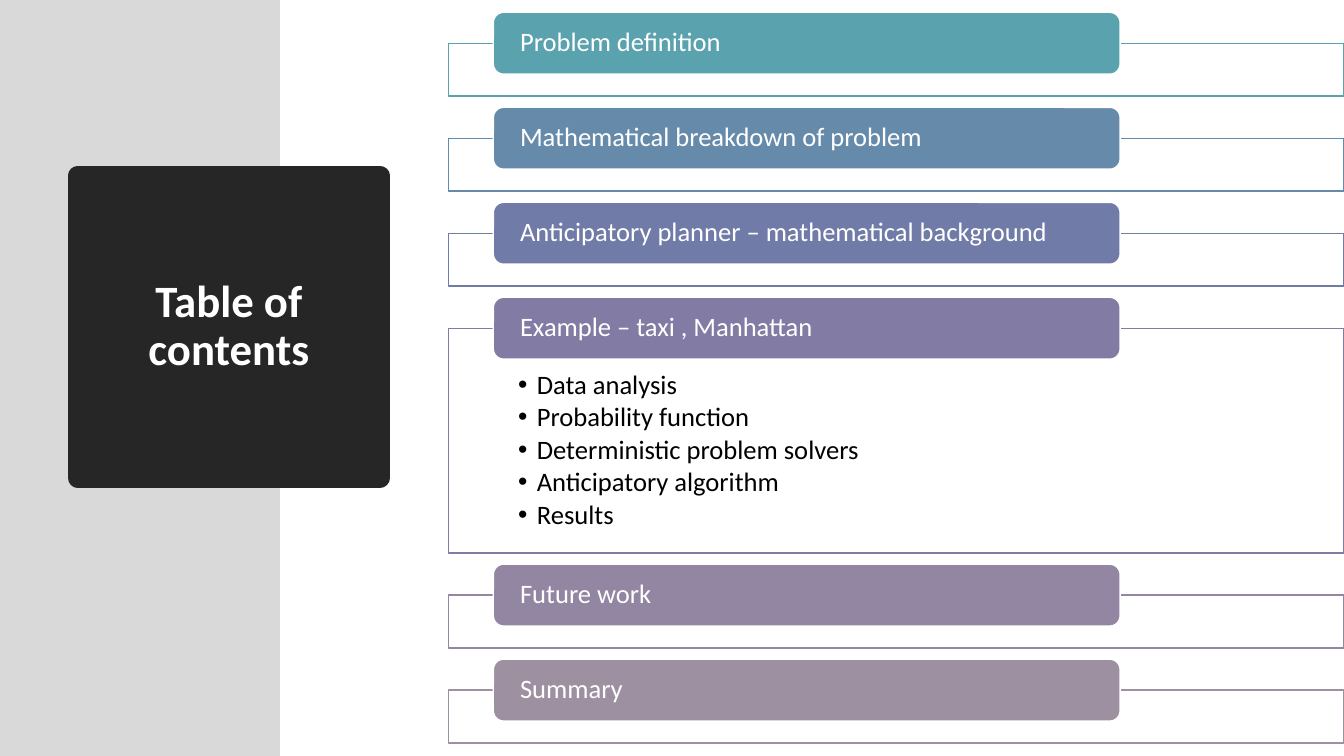
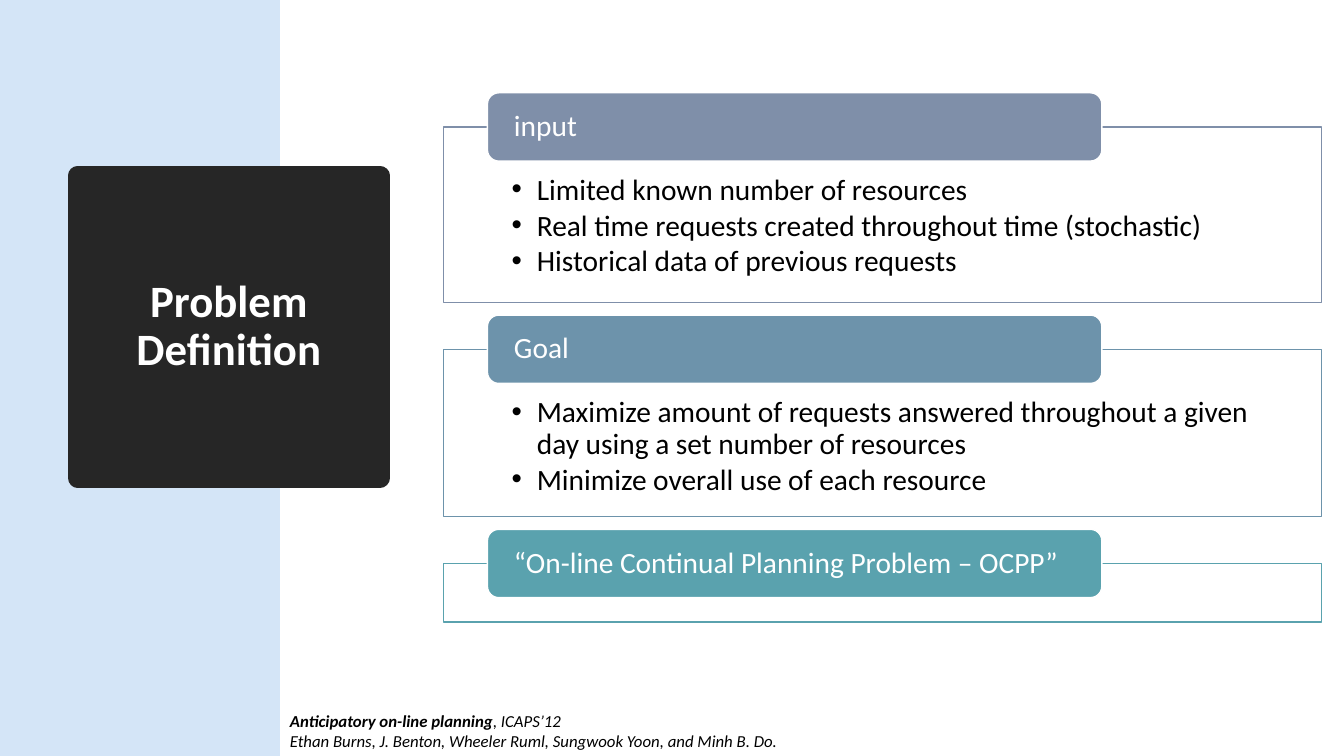
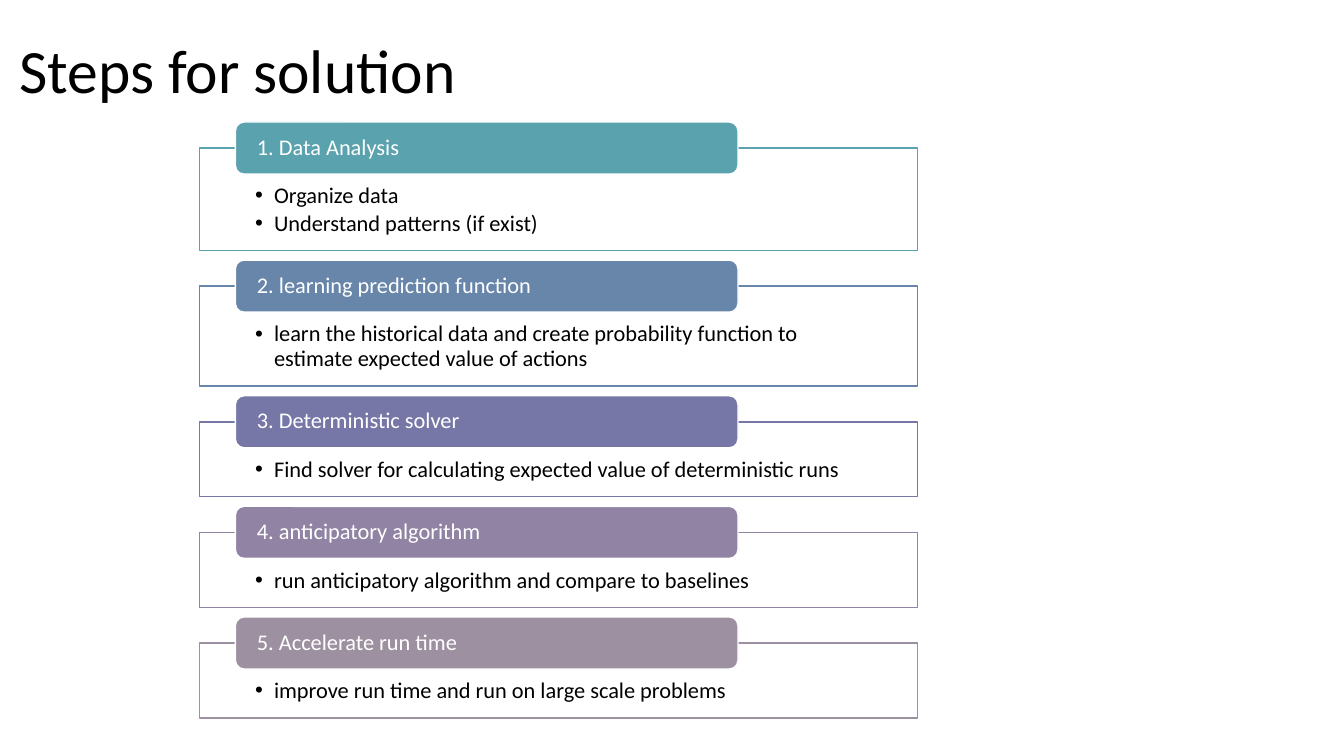
from lxml import etree
from pptx import Presentation
from pptx.dml.color import RGBColor
from pptx.enum.shapes import MSO_SHAPE
from pptx.enum.text import MSO_ANCHOR, MSO_AUTO_SIZE, PP_ALIGN
from pptx.oxml.ns import qn
from pptx.util import Pt

RECTANGLE = MSO_SHAPE.RECTANGLE
ROUNDED = MSO_SHAPE.ROUNDED_RECTANGLE
TOP, MIDDLE = MSO_ANCHOR.TOP, MSO_ANCHOR.MIDDLE
LEFT, CENTER = PP_ALIGN.LEFT, PP_ALIGN.CENTER
NO_AUTOFIT = MSO_AUTO_SIZE.NONE

SLIDE_WIDTH, SLIDE_HEIGHT = 960, 540
TITLE_ONLY = 5
FONT = "Calibri"
WHITE, BLACK, CHARCOAL = "FFFFFF", "000000", "262626"
GREY, PALE_BLUE, TEAL, MAUVE = "D9D9D9", "D4E5F7", "5AA2AE", "9D90A0"


def color(hex_code):
    return RGBColor.from_string(hex_code)


def paint(shape, fill, line=None, line_width=1):
    shape.fill.solid()
    shape.fill.fore_color.rgb = color(fill)
    if line:
        shape.line.color.rgb = color(line)
        shape.line.width = Pt(line_width)
    else:
        shape.line.fill.background()


def place(shape, left, top, width, height):
    shape.left, shape.top = Pt(left), Pt(top)
    shape.width, shape.height = Pt(width), Pt(height)


def add_box(slide, kind, box, fill, line=None):
    shape = slide.shapes.add_shape(kind, *(Pt(length) for length in box))
    shape.shadow.inherit = False
    paint(shape, fill, line)
    return shape


def format_paragraph(paragraph, size, hex_code, align=LEFT, spacing=0.9, bold=False):
    paragraph.alignment = align
    paragraph.line_spacing = spacing
    font = paragraph.font
    font.name, font.size, font.bold = FONT, Pt(size), bold
    font.color.rgb = color(hex_code)


def set_frame(shape, anchor, side=7.2, top=3.6):
    frame = shape.text_frame
    frame.word_wrap = True
    frame.auto_size = NO_AUTOFIT
    frame.vertical_anchor = anchor
    frame.margin_left = frame.margin_right = Pt(side)
    frame.margin_top, frame.margin_bottom = Pt(top), Pt(0)
    return frame


def add_bullet(paragraph, indent):
    properties = paragraph._p.get_or_add_pPr()
    properties.set("marL", str(Pt(indent)))
    properties.set("indent", str(-Pt(indent)))
    etree.SubElement(properties, qn("a:buFont"), typeface="Arial")
    etree.SubElement(properties, qn("a:buChar"), char="•")


# Outlined frame with a label straddling its top edge
def add_section(slide, box, section, label_height, size, indent):
    left, top, width, height = box
    label_text, accent, bullets = section

    outline = add_box(slide, RECTANGLE, box, WHITE, accent)
    if bullets:
        frame = set_frame(outline, TOP, 0.0776 * width, 0.7 * label_height)
        for index, text in enumerate(bullets):
            paragraph = frame.paragraphs[0] if index == 0 else frame.add_paragraph()
            paragraph.text = text
            paragraph.space_after = Pt(0.14 * size)
            add_bullet(paragraph, indent)
            format_paragraph(paragraph, size, BLACK)

    label_box = (left + 0.05 * width, top - label_height / 2, 0.7 * width, label_height)
    label = add_box(slide, ROUNDED, label_box, accent, WHITE)
    frame = set_frame(label, MIDDLE, 0.0265 * width, 0)
    frame.text = label_text
    format_paragraph(frame.paragraphs[0], size, WHITE)


# Column of sections: each is (label, accent, frame height, bullets)
def add_stack(slide, left, top, width, gap, sections, label_height, size, indent=13.5):
    for label, accent, height, bullets in sections:
        add_section(slide, (left, top, width, height), (label, accent, bullets),
                    label_height, size, indent)
        top += height + gap


# Side band with the title in a dark disc
def add_side_title(slide, text, band_color):
    add_box(slide, RECTANGLE, (0, 0, 200, SLIDE_HEIGHT), band_color)
    title = slide.shapes.title
    place(title, 55.5, 125.5, 216, 216)
    geometry = etree.SubElement(title.element.spPr, qn("a:prstGeom"), prst="ellipse")
    etree.SubElement(geometry, qn("a:avLst"))
    paint(title, CHARCOAL, CHARCOAL, 13.75)
    frame = set_frame(title, MIDDLE, top=0)
    frame.text = text
    format_paragraph(frame.paragraphs[0], 32, WHITE, CENTER, bold=True)
    slide.shapes.element.append(title.element)  # bring in front of the band


def add_top_title(slide, text):
    title = slide.shapes.title
    place(title, 6.5, 0, 828, 104.4)
    frame = set_frame(title, MIDDLE, top=0)
    frame.text = text
    format_paragraph(frame.paragraphs[0], 44, BLACK)


def add_citation(slide, box, work, venue, authors):
    shape = slide.shapes.add_textbox(*(Pt(length) for length in box))
    frame = set_frame(shape, TOP)
    first, second = frame.paragraphs[0], frame.add_paragraph()
    for paragraph in (first, second):
        format_paragraph(paragraph, 12, BLACK, spacing=1.0)
        paragraph.font.italic = True
    work_run, venue_run = first.add_run(), first.add_run()
    work_run.text, venue_run.text = work, venue
    work_run.font.bold = True
    second.text = authors


def build_contents(slide):
    example_parts = ["Data analysis", "Probability function",
                     "Deterministic problem solvers", "Anticipatory algorithm", "Results"]
    sections = [
        ("Problem definition", TEAL, 37.8, []),
        ("Mathematical breakdown of problem", "668AAA", 37.8, []),
        ("Anticipatory planner – mathematical background", "717BA7", 37.8, []),
        ("Example – taxi , Manhattan", "827CA4", 160.6, example_parts),
        ("Future work", "9386A2", 37.8, []),
        ("Summary", MAUVE, 37.8, []),
    ]
    add_stack(slide, 320.4, 30.9, 639.6, 30.05, sections, label_height=44.2, size=19)
    add_side_title(slide, "Table of contents", GREY)


def build_problem(slide):
    sections = [
        ("input", "7F8FA9", 125.3, [
            "Limited known number of resources",
            "Real time requests created throughout time (stochastic)",
            "Historical data of previous requests"]),
        ("Goal", "6D93AB", 119.5, [
            "Maximize amount of requests answered throughout a given day "
            "using a set number of resources",
            "Minimize overall use of each resource"]),
        ("“On-line Continual Planning Problem – OCPP”", TEAL, 41.8, []),
    ]
    add_stack(slide, 316.8, 90.7, 627, 33.5, sections, label_height=48.8, size=21, indent=18)
    add_citation(slide, (200, 504, 659, 36), "Anticipatory on-line planning", ", ICAPS’12",
                 "Ethan Burns, J. Benton, Wheeler Ruml, Sungwook Yoon, and Minh B. Do.")
    add_side_title(slide, "Problem Definition", PALE_BLUE)


def build_steps(slide):
    add_top_title(slide, "Steps for solution")
    sections = [
        ("1. Data Analysis", TEAL, 73.1,
         ["Organize data", "Understand patterns (if exist)"]),
        ("2. learning prediction function", "6885AA", 71.4,
         ["learn the historical data and create probability function to "
          "estimate expected value of actions"]),
        ("3. Deterministic solver", "7677A6", 53.5,
         ["Find solver for calculating expected value of deterministic runs"]),
        ("4. anticipatory algorithm", "9083A3", 53.5,
         ["run anticipatory algorithm and compare to baselines"]),
        ("5. Accelerate run time", MAUVE, 53.5,
         ["improve run time and run on large scale problems"]),
    ]
    add_stack(slide, 142.5, 105.8, 512.9, 25.5, sections, label_height=37.2, size=16)


def main():
    presentation = Presentation()
    presentation.slide_width, presentation.slide_height = Pt(SLIDE_WIDTH), Pt(SLIDE_HEIGHT)
    layout = presentation.slide_layouts[TITLE_ONLY]
    for build in (build_contents, build_problem, build_steps):
        build(presentation.slides.add_slide(layout))
    presentation.save("out.pptx")


if __name__ == "__main__":
    main()
